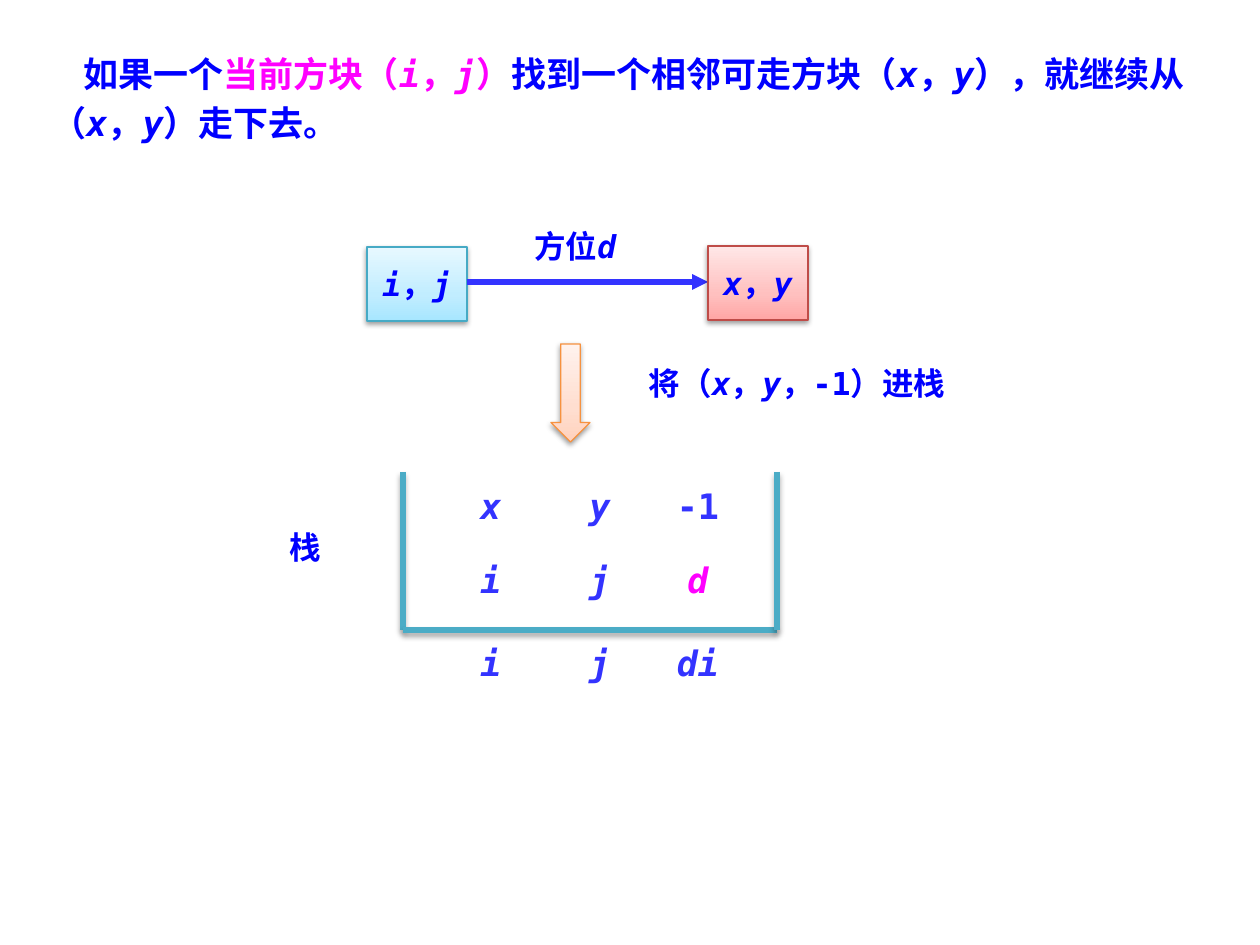
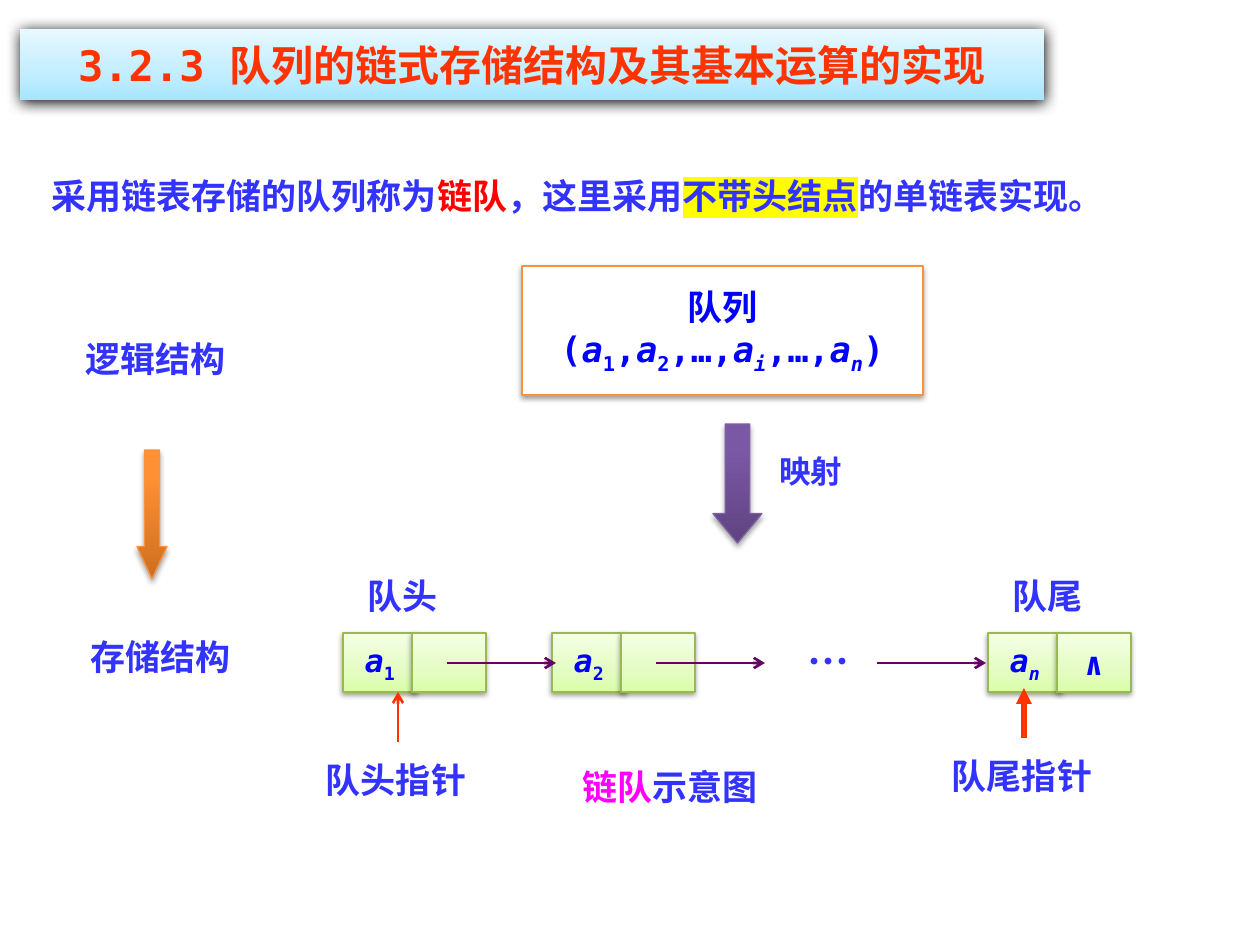
from lxml.etree import SubElement
from copy import deepcopy
from pptx import Presentation
from pptx.dml.color import RGBColor
from pptx.enum.shapes import MSO_CONNECTOR, MSO_SHAPE as Preset
from pptx.enum.text import MSO_ANCHOR as Anchor, PP_ALIGN as Align
from pptx.oxml.ns import qn
from pptx.util import Emu, Pt

# Shared look
MONO, SANS = "DejaVu Sans Mono", "Noto Sans CJK SC"
BLUE, INDIGO, MAGENTA = "0000FF", "3333FF", "FF00FF"
RED, ORANGE_RED, PLUM, TEAL = "FF0000", "FF3300", "660066", "4BACC6"
SKY = [(0, "A7E6FF"), (35, "C1EDFF"), (100, "E7F8FF")]
ROSE = [(0, "FFA6A5"), (35, "FFC0BF"), (100, "FFE7E7")]
PEACH = [(0, "FFD2BD"), (35, "FFDED0"), (100, "FFF2ED")]
LIME = [(0, "DAFDA7"), (35, "E4FCC2"), (100, "F5FFE7")]
PURPLE = [(0, "5F4480"), (80, "7B58A6"), (100, "7C57A8")]
ORANGE = [(0, "CC6E20"), (80, "FF9034"), (100, "FF9136")]
# Shadows: opacity in percent, blur and distance in points
SOFT, DEEP, HEAVY = (38, 3.1, 1.6), (35, 3.1, 1.8), (100, 8.5, 1)


def px(length):
    return Emu(round(length * 914400 / 126))


def rgb(value):
    return RGBColor.from_string(value)


def styled(text, **look):
    return text, look


def var(text, **look):
    return styled(text, italic=True, **look)


def sub(text, **look):
    return styled(text, base=-25, **look)


class Deck:
    def __init__(self, width, height):
        self.prs = Presentation()
        self.prs.slide_width, self.prs.slide_height = px(width), px(height)
        self.slide = None

    def new_slide(self):
        self.slide = self.prs.slides.add_slide(self.prs.slide_layouts[6])

    def effects(self, shape, shadow=None):
        """Give the shape an effect list: empty, or one outer shadow."""
        effect_list = SubElement(shape._element.spPr, qn("a:effectLst"))
        if shadow:
            opacity, blur, distance = shadow
            outer = SubElement(effect_list, qn("a:outerShdw"), blurRad=str(Pt(blur)),
                               dist=str(Pt(distance)), dir="5400000", rotWithShape="0")
            color = SubElement(outer, qn("a:srgbClr"), val="000000")
            SubElement(color, qn("a:alpha"), val=str(opacity * 1000))

    def format_run(self, run, size, font, color, italic=False, base=0, highlight=None):
        run.font.size, run.font.bold, run.font.italic = Pt(size), True, italic
        run.font.color.rgb = rgb(color)
        run.font.name = font
        props = run._r.get_or_add_rPr()
        latin = props.find(qn("a:latin"))
        east_asian = SubElement(props, qn("a:ea"), typeface=font)
        latin.addnext(east_asian)
        if base:
            props.set("baseline", str(base * 1000))
        if highlight:
            marker = SubElement(props, qn("a:highlight"))
            SubElement(marker, qn("a:srgbClr"), val=highlight)
            latin.addprevious(marker)

    def set_text(self, frame, paragraphs, size, font, color, align):
        """Each paragraph is a list of plain strings and styled pieces."""
        for index, pieces in enumerate(paragraphs):
            paragraph = frame.add_paragraph() if index else frame.paragraphs[0]
            paragraph.alignment = align
            for piece in pieces:
                text, look = (piece, {}) if isinstance(piece, str) else piece
                run = paragraph.add_run()
                run.text = text
                self.format_run(run, **{"size": size, "font": font, "color": color, **look})

    def label(self, at, *pieces, size=20, font=MONO, color=INDIGO, align=Align.CENTER):
        box = self.slide.shapes.add_textbox(*map(px, at))
        box.text_frame.word_wrap = True
        self.set_text(box.text_frame, [pieces], size, font, color, align)
        return box.text_frame.paragraphs[0]

    def shape(self, at, fill, outline, shadow=SOFT, preset=Preset.RECTANGLE, head=None):
        """Fill is one colour or a list of gradient stops."""
        shape = self.slide.shapes.add_shape(preset, *map(px, at))
        if head:
            shape.adjustments[1] = head
        if isinstance(fill, str):
            shape.fill.solid()
            shape.fill.fore_color.rgb = rgb(fill)
        else:
            shape.fill.gradient()
            shape.fill.gradient_angle = 90
            stop_list = shape._element.spPr.find(qn("a:gradFill")).find(qn("a:gsLst"))
            stop_list.append(deepcopy(stop_list[0]))
            for stop, (position, color) in zip(shape.fill.gradient_stops, fill):
                stop.position = position / 100
                stop.color.rgb = rgb(color)
        if outline:
            shape.line.color.rgb = rgb(outline)
            shape.line.width = Pt(0.75)
        else:
            shape.line.fill.background()
        self.effects(shape, shadow)
        return shape

    def box(self, at, fill, outline, *paragraphs, size=18):
        frame = self.shape(at, fill, outline).text_frame
        frame.word_wrap = False
        frame.vertical_anchor = Anchor.MIDDLE
        self.set_text(frame, paragraphs, size, MONO, BLUE, Align.CENTER)

    def down_arrow(self, at, fill, outline, shadow=DEEP, head=0.5):
        self.shape(at, fill, outline, shadow, Preset.DOWN_ARROW, head)

    def line(self, start, end, color, width, tip=None, shadow=None):
        line = self.slide.shapes.add_connector(MSO_CONNECTOR.STRAIGHT, *map(px, start + end))
        line.line.color.rgb = rgb(color)
        line.line.width = Pt(width)
        if tip:
            SubElement(line._element.spPr.find(qn("a:ln")), qn("a:tailEnd"), type=tip)
        self.effects(line, shadow)

    def title(self, text):
        frame = self.shape((20, 29, 1024, 71), SKY, None, HEAVY).text_frame
        frame.word_wrap = True
        frame.vertical_anchor = Anchor.TOP
        frame.margin_top = frame.margin_bottom = px(10)
        self.set_text(frame, [[text]], 24, MONO, ORANGE_RED, Align.CENTER)


def maze_step(deck):
    deck.new_slide()
    intro = deck.label(
        (39, 39, 1191, 107), "如果一个",
        styled("当前方块（", color=MAGENTA), var("i", color=MAGENTA),
        styled("，", color=MAGENTA), var("j", color=MAGENTA), styled("）", color=MAGENTA),
        "找到一个相邻可走方块（", var("x"), "，", var("y"), "），就继续从（",
        var("x"), "，", var("y"), "）走下去。", color=BLUE, align=Align.LEFT)
    intro.line_spacing = Pt(28)
    intro._p.get_or_add_pPr().set("indent", str(px(32)))

    # Move from the current square to its neighbour
    deck.box((367, 247, 100, 74), SKY, "46AAC5", [var("i"), "，", var("j")])
    deck.line((467, 282), (708, 282), INDIGO, 3, "triangle")
    deck.box((708, 246, 100, 74), ROSE, "BF4C48", [var("x"), "，", var("y")])
    deck.label((522, 221, 118, 50), "方位", var("d"), size=18, color=BLUE, align=Align.LEFT)

    # Push
    deck.down_arrow((551, 344, 39, 98), PEACH, "F69240", SOFT)
    deck.label((610, 358, 374, 50), "将（", var("x"), "，", var("y"), "，-1）进栈",
               size=18, color=BLUE)

    # Stack walls, entries and field names
    left, right, top, bottom = 403, 777, 472, 630
    for start, end in (((left, top), (left, bottom)), ((left, bottom), (right, bottom)),
                       ((right, top), (right, bottom))):
        deck.line(start, end, TEAL, 3, shadow=DEEP)
    deck.label((246, 522, 118, 50), "栈", size=18, font=SANS, color=BLUE)
    entries = {478: (var("x"), var("y"), "-1"),
               552: (var("i"), var("j"), var("d", color=MAGENTA)),
               635: (var("i"), var("j"), var("di"))}
    for entry_top, fields in entries.items():
        for field_left, field in zip((442, 551, 649), fields):
            deck.label((field_left, entry_top, 98, 55), field)


def linked_queue(deck):
    deck.new_slide()
    deck.title("3.2.3 队列的链式存储结构及其基本运算的实现")
    deck.label((39, 168, 1063, 55), "采用链表存储的队列称为",
               styled("链队", font=SANS, color=RED), "，这里采用",
               styled("不带头结点", highlight="FFFF00"), "的单链表实现。", align=Align.LEFT)

    # Logical structure mapped to storage structure
    deck.box((522, 266, 401, 129), "FFFFFF", "F69240", ["队列"],
             ["(", var("a"), sub("1"), ",", var("a"), sub("2"), ",…,", var("a"),
              sub("i", italic=True), ",…,", var("a"), sub("n", italic=True), ")"], size=20)
    deck.down_arrow((713, 424, 49, 119), PURPLE, "7D60A0", head=0.6)
    deck.label((767, 446, 117, 50), "映射", size=18, font=SANS, align=Align.LEFT)
    deck.label((73, 331, 232, 55), "逻辑结构", font=SANS, align=Align.LEFT)
    deck.down_arrow((137, 450, 30, 129), ORANGE, "F69240", head=1.08)
    deck.label((78, 629, 232, 55), "存储结构", font=SANS, align=Align.LEFT)

    # Nodes: a data cell and a link cell each
    first, second, last = 343, 552, 988
    for node, index, link in ((first, sub("1"), []), (second, sub("2"), []),
                              (last, sub("n", italic=True), ["∧"])):
        deck.box((node, 633, 74, 59), LIME, "98B955", [var("a"), index])
        deck.box((node + 69, 633, 74, 59), LIME, "98B955", link)
    for link_start in (first + 104, second + 104, 877):
        deck.line((link_start, 663), (link_start + 109, 663), PLUM, 1.5, "arrow")
    deck.label((769, 629, 120, 63), "…", size=24, font=SANS)

    # Head and tail pointers
    for node, end, pointer, tip_top, width, tip in (
            (first, "队头", 398, 692, 1.5, "arrow"),
            (last, "队尾", 1024, 688, 3, "triangle")):
        deck.label((node - 10, 568, 139, 55), end, font=SANS)
        deck.line((pointer, tip_top + 50), (pointer, tip_top), ORANGE_RED, width, tip)
        deck.label((pointer - 111, tip_top + 60, 218, 55), end + "指针", font=SANS)
    deck.label((532, 759, 276, 55), styled("链队", color=MAGENTA), "示意图", font=SANS)


def main():
    deck = Deck(1260, 945)
    maze_step(deck)
    linked_queue(deck)
    deck.prs.save("out.pptx")


if __name__ == "__main__":
    main()
